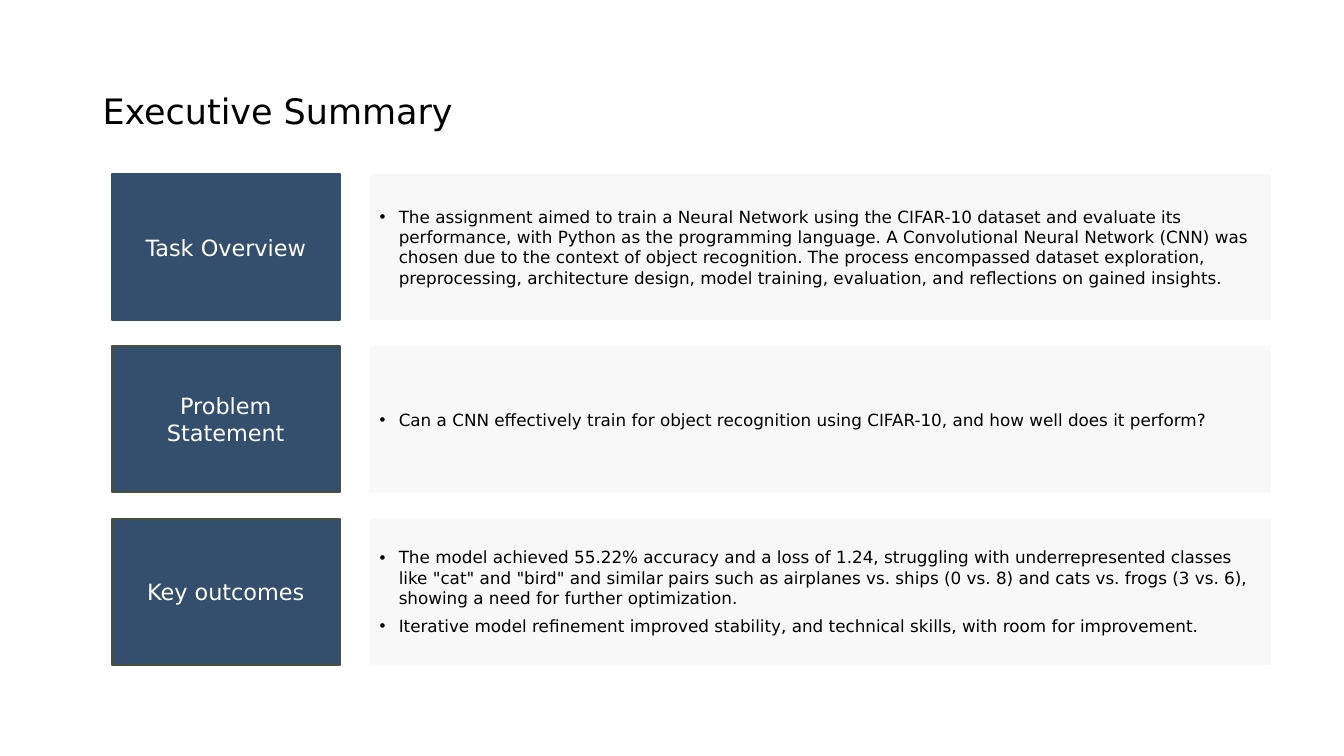
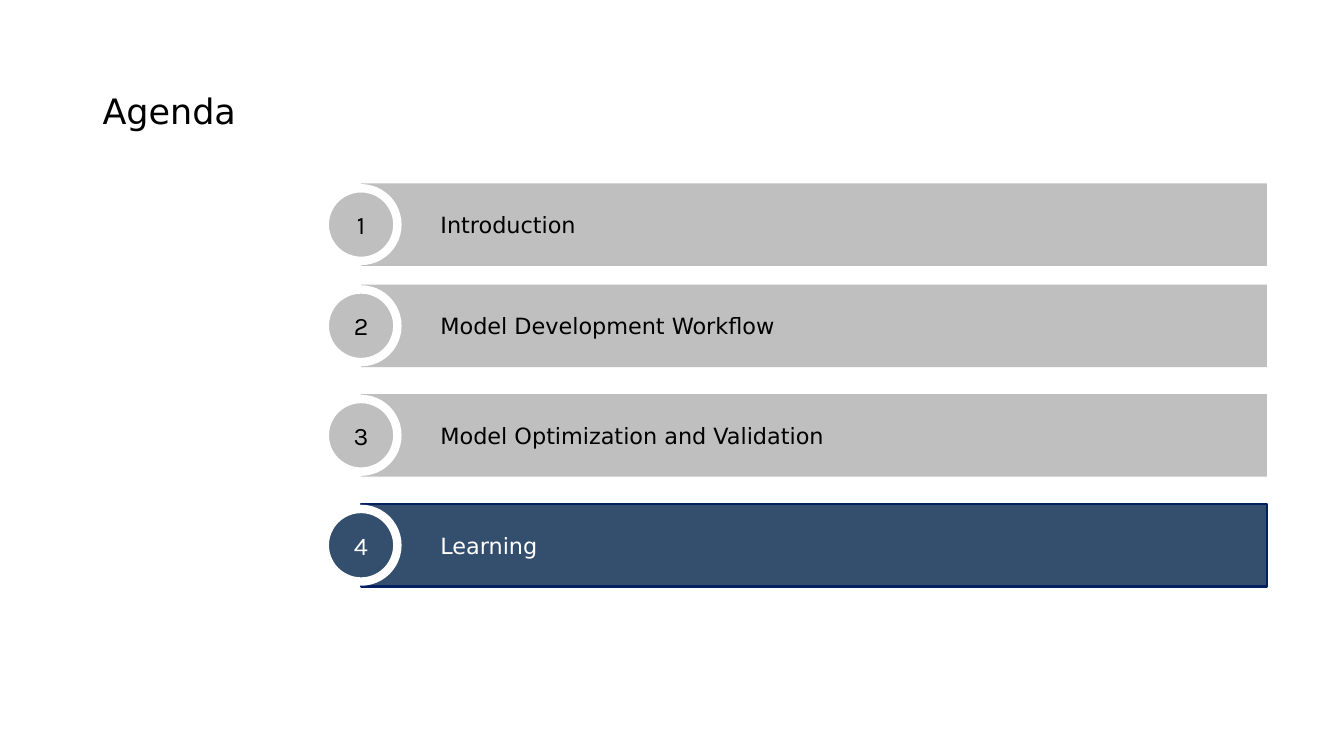
"""Build an executive summary slide and an agenda slide."""
from lxml import etree
from pptx import Presentation
from pptx.dml.color import RGBColor
from pptx.enum.shapes import MSO_SHAPE
from pptx.enum.text import MSO_ANCHOR, MSO_AUTO_SIZE, PP_ALIGN
from pptx.oxml.ns import qn
from pptx.util import Cm, Pt

RECTANGLE, OVAL = MSO_SHAPE.RECTANGLE, MSO_SHAPE.OVAL
LEFT, CENTER = PP_ALIGN.LEFT, PP_ALIGN.CENTER
MIDDLE = MSO_ANCHOR.MIDDLE
NO_FIT = MSO_AUTO_SIZE.NONE
TITLE_ONLY = 5

COLORS = {
    "black": "000000",
    "white": "FFFFFF",
    "slate": "344E6D",
    "olive": "484F40",
    "navy": "002060",
    "panel": "F8F8F8",
    "gray": "BFBFBF",
}
BODY_FONT, NUMBER_FONT = "DejaVu Sans", "Karla"

SUMMARY_TOP, SUMMARY_PITCH, SUMMARY_HEIGHT = 4.39, 4.34, 3.68
LABEL_LEFT, LABEL_WIDTH = 2.82, 5.74
PANEL_LEFT, PANEL_WIDTH = 9.32, 22.71
BULLET_INDENT = 0.48

BAND_LEFT, BAND_WIDTH, BAND_HEIGHT = 9.1, 22.83, 2.08
BAND_INSET = 2
CIRCLE_SIZE = 1.83

SUMMARY = [
    ("Task Overview", "slate", [
        "The assignment aimed to train a Neural Network using the CIFAR-10 dataset and "
        "evaluate its performance, with Python as the programming language. A Convolutional "
        "Neural Network (CNN) was chosen due to the context of object recognition. The process "
        "encompassed dataset exploration, preprocessing, architecture design, model training, "
        "evaluation, and reflections on gained insights.",
    ]),
    ("Problem Statement", "olive", [
        "Can a CNN effectively train for object recognition using CIFAR-10, and how well does "
        "it perform?",
    ]),
    ("Key outcomes", "olive", [
        "The model achieved 55.22% accuracy and a loss of 1.24, struggling with "
        "underrepresented classes like \"cat\" and \"bird\" and similar pairs such as airplanes "
        "vs. ships (0 vs. 8) and cats vs. frogs (3 vs. 6), showing a need for further "
        "optimization.",
        "Iterative model refinement improved stability, and technical skills, with room for "
        "improvement.",
    ]),
]

AGENDA = [
    ("Introduction", 4.62),
    ("Model Development Workflow", 7.17),
    ("Model Optimization and Validation", 9.93),
    ("Learning", 12.7),
]
CURRENT_ITEM = 4


def rgb(name):
    """Return the named colour."""
    return RGBColor.from_string(COLORS[name])


def style_paragraph(para, size, color, font=BODY_FONT, align=LEFT):
    """Set the alignment and font of a paragraph."""
    para.alignment = align
    para.font.name = font
    para.font.size = Pt(size)
    para.font.color.rgb = rgb(color)


def add_page(deck, title):
    """Add a title-only page with its title in the shared style."""
    page = deck.slides.add_slide(deck.slide_layouts[TITLE_ONLY])
    box = page.shapes.title
    box.left, box.top, box.width, box.height = Cm(2.33), Cm(1.01), Cm(29.21), Cm(3.68)
    frame = box.text_frame
    frame.text = title
    frame.vertical_anchor = MIDDLE
    frame.auto_size = NO_FIT
    para = frame.paragraphs[0]
    para.line_spacing = 0.9
    style_paragraph(para, 25, "black")
    return page


def add_box(shapes, kind, left, top, width, height, fill, line=None, line_width=1.5):
    """Add a flat filled shape, measured in centimetres."""
    box = shapes.add_shape(kind, Cm(left), Cm(top), Cm(width), Cm(height))
    box.shadow.inherit = False
    box.fill.solid()
    box.fill.fore_color.rgb = rgb(fill)
    if line:
        box.line.color.rgb = rgb(line)
        box.line.width = Pt(line_width)
    else:
        box.line.fill.background()
    box.text_frame.word_wrap = True
    box.text_frame.vertical_anchor = MIDDLE
    return box


def set_text(box, text, size, color, font=BODY_FONT, align=CENTER):
    """Write one styled paragraph into a box."""
    box.text_frame.text = text
    style_paragraph(box.text_frame.paragraphs[0], size, color, font, align)


def set_bullets(box, items):
    """Write a bulleted list into a box."""
    frame = box.text_frame
    frame.text = "\n".join(items)
    for para in frame.paragraphs:
        properties = para._p.get_or_add_pPr()
        properties.set("marL", str(Cm(BULLET_INDENT)))
        properties.set("indent", str(-Cm(BULLET_INDENT)))
        etree.SubElement(properties, qn("a:buFont"), typeface="Arial")
        etree.SubElement(properties, qn("a:buChar"), char="•")
        para.space_after = Pt(6)
        style_paragraph(para, 12, "black")


def add_summary_row(page, top, heading, outline, items):
    """Add a grouped heading block and its bullet panel."""
    shapes = page.shapes.add_group_shape().shapes
    label = add_box(shapes, RECTANGLE, LABEL_LEFT, top, LABEL_WIDTH, SUMMARY_HEIGHT,
                    "slate", outline)
    set_text(label, heading, 16, "white")
    panel = add_box(shapes, RECTANGLE, PANEL_LEFT, top, PANEL_WIDTH, SUMMARY_HEIGHT, "panel")
    set_bullets(panel, items)


def add_agenda_item(page, number, text, top):
    """Add an agenda band with its numbered circle."""
    current = number == CURRENT_ITEM
    fill, color, line = ("slate", "white", "navy") if current else ("gray", "black", None)
    band = add_box(page.shapes, RECTANGLE, BAND_LEFT, top, BAND_WIDTH, BAND_HEIGHT, fill, line)
    band.text_frame.margin_left = Cm(BAND_INSET)
    set_text(band, text, 16, color, align=LEFT)
    circle = add_box(page.shapes, OVAL, BAND_LEFT - CIRCLE_SIZE / 2,
                     top + (BAND_HEIGHT - CIRCLE_SIZE) / 2, CIRCLE_SIZE, CIRCLE_SIZE,
                     fill, "white", 6)
    set_text(circle, str(number), 18, color, NUMBER_FONT)


def main():
    """Build and save the deck."""
    deck = Presentation()
    deck.slide_width, deck.slide_height = Cm(33.87), Cm(19.05)

    page = add_page(deck, "Executive Summary")
    for row, (heading, outline, items) in enumerate(SUMMARY):
        add_summary_row(page, SUMMARY_TOP + row * SUMMARY_PITCH, heading, outline, items)

    page = add_page(deck, "Agenda")
    for number, (text, top) in enumerate(AGENDA, start=1):
        add_agenda_item(page, number, text, top)

    deck.save("out.pptx")


if __name__ == "__main__":
    main()
